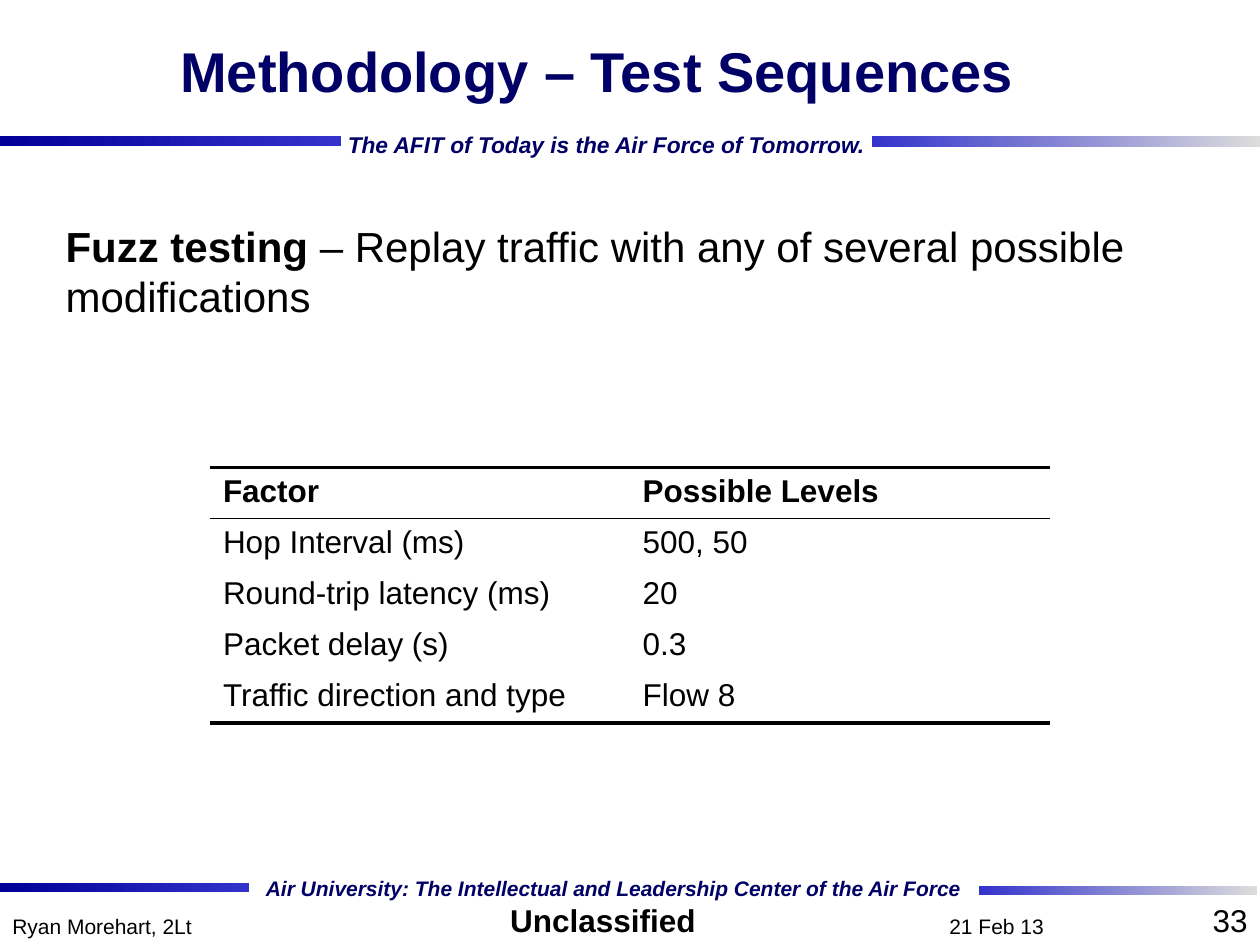
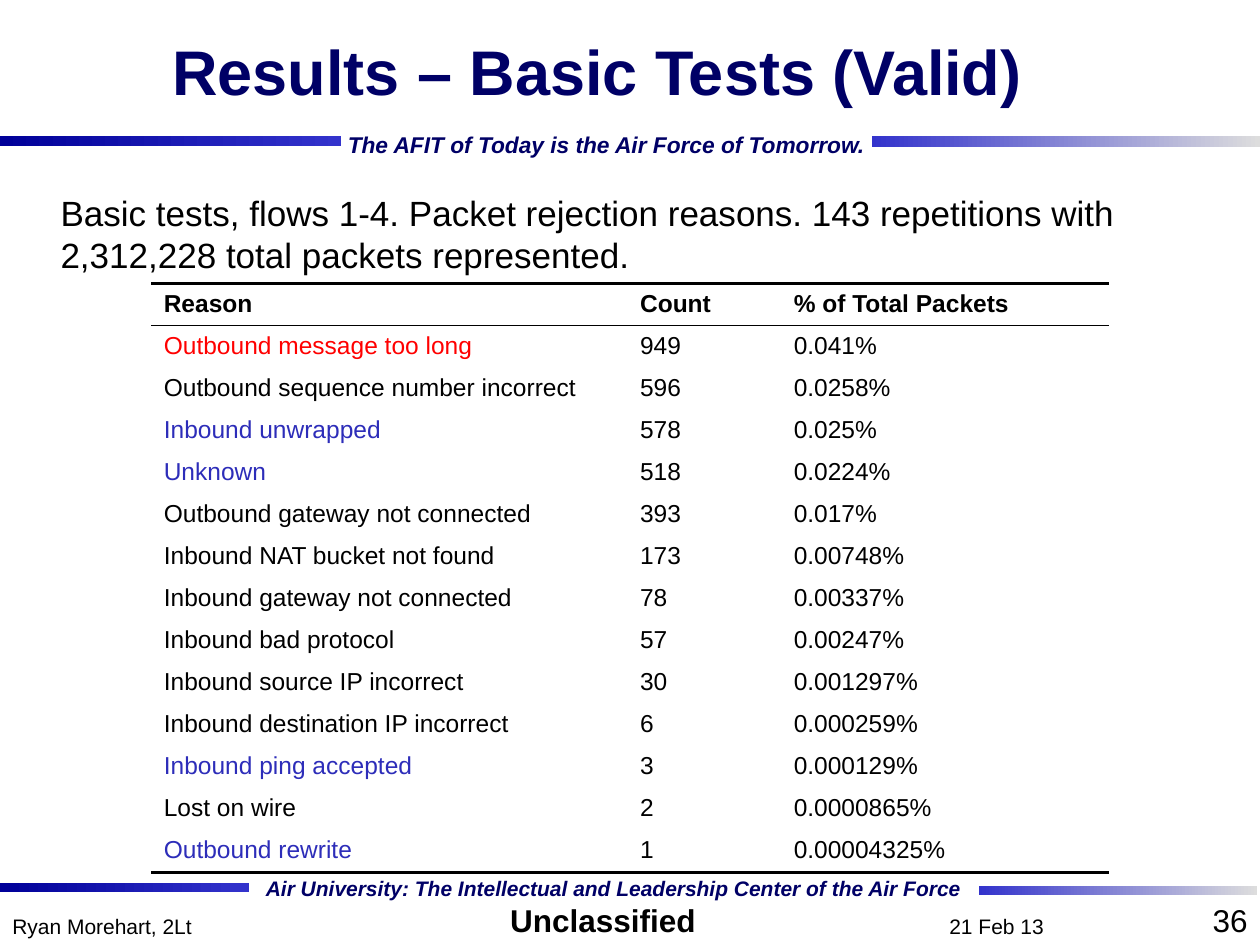
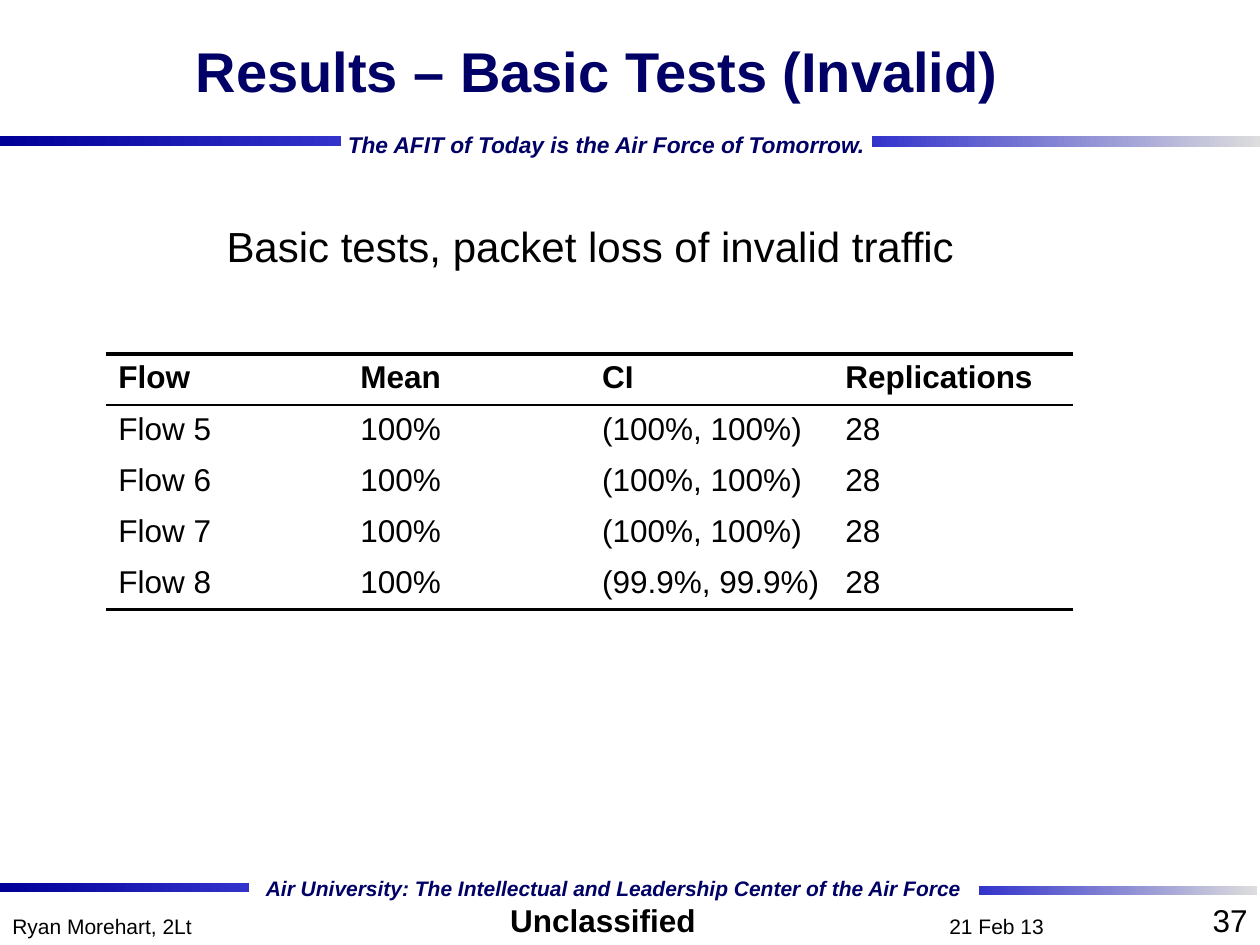
from dataclasses import dataclass

from lxml import etree
from pptx import Presentation
from pptx import util as u
from pptx.dml.color import RGBColor
from pptx.enum import shapes, text
from pptx.oxml import ns

FONT = "Arial"
BLACK, NAVY, RED, BLUE = "000000", "000066", "FF0000", "2D2DB9"
DEEP, ROYAL, SILVER = "000099", "3333CC", "DDDDDD"
LEFT, CENTER, RIGHT = text.PP_ALIGN.LEFT, text.PP_ALIGN.CENTER, text.PP_ALIGN.RIGHT
THICK, THIN = 2.25, 1


@dataclass(frozen=True)
class Frame:
    left: float
    top: float
    width: float
    height: float

    def lengths(self):
        return [u.Inches(n) for n in (self.left, self.top, self.width, self.height)]


@dataclass(frozen=True)
class Span:
    words: str
    size: float
    color: str = BLACK
    bold: bool = False
    italic: bool = False


@dataclass(frozen=True)
class Band:
    frame: Frame
    start: str
    end: str


@dataclass(frozen=True)
class Label:
    frame: Frame
    span: Span
    align: text.PP_ALIGN = LEFT
    wrap: bool = True
    inset: float = 0.1


@dataclass(frozen=True)
class Grid:
    frame: Frame
    columns: tuple[float, ...]
    size: float
    rows: tuple[tuple[str, ...], ...]


@dataclass(frozen=True)
class Content:
    number: int
    title: Span
    body_frame: Frame
    body: tuple[Span, ...]
    grid: Grid
    body_align: text.PP_ALIGN = LEFT


TITLE_FRAME = Frame(1.1, 0, 7.28, 1.12)
NUMBER_FRAME = Frame(7.67, 7.1, 2.33, 0.4)

BANDS = (
    Band(Frame(0, 7.01, 1.98, 0.07), DEEP, ROYAL),
    Band(Frame(7.77, 7.03, 2.21, 0.07), ROYAL, SILVER),
    Band(Frame(6.92, 1.08, 3.08, 0.09), ROYAL, SILVER),
    Band(Frame(0, 1.08, 2.71, 0.08), DEEP, ROYAL),
)

LABELS = (
    Label(Frame(2.02, 6.9, 5.76, 0.29),
          Span("Air University: The Intellectual and Leadership Center of the Air Force",
               12, NAVY, True, True), wrap=False, inset=0.09),
    Label(Frame(2.67, 0.99, 4.35, 0.31),
          Span("The AFIT of Today is the Air Force of Tomorrow.", 13, NAVY, True, True),
          wrap=False, inset=0.09),
    Label(Frame(3.95, 7.1, 1.69, 0.4), Span("Unclassified", 18, bold=True), wrap=False),
    Label(Frame(6.73, 7.2, 2.36, 0.3), Span("21 Feb 13", 12), CENTER),
    Label(Frame(0, 7.2, 2.36, 0.3), Span("Ryan Morehart, 2Lt", 12)),
)

REASON_COLORS = {
    "Outbound message too long": RED,
    "Inbound unwrapped": BLUE,
    "Unknown": BLUE,
    "Inbound ping accepted": BLUE,
    "Outbound rewrite": BLUE,
}

CONTENTS = (
    Content(
        33,
        Span("Methodology – Test Sequences", 32, NAVY, True),
        Frame(0.43, 1.7, 9.57, 4.5),
        (Span("Fuzz testing", 24, bold=True),
         Span(" – Replay traffic with any of several possible modifications", 24)),
        Grid(Frame(1.67, 3.71, 6.67, 2.03), (3.33, 3.33), 18, (
            ("Factor", "Possible Levels"),
            ("Hop Interval (ms)", "500, 50"),
            ("Round-trip latency (ms)", "20"),
            ("Packet delay (s)", "0.3"),
            ("Traffic direction and type", "Flow 8"),
        )),
    ),
    Content(
        36,
        Span("Results – Basic Tests (Valid)", 36, NAVY, True),
        Frame(0.39, 1.47, 9.3, 0.99),
        (Span("Basic tests, flows 1-4. Packet rejection reasons. 143 repetitions with "
              "2,312,228 total packets represented.", 20),),
        Grid(Frame(1.2, 2.25, 7.6, 3.92), (3.78, 1.22, 2.6), 14, (
            ("Reason", "Count", "% of Total Packets"),
            ("Outbound message too long", "949", "0.041%"),
            ("Outbound sequence number incorrect", "596", "0.0258%"),
            ("Inbound unwrapped", "578", "0.025%"),
            ("Unknown", "518", "0.0224%"),
            ("Outbound gateway not connected", "393", "0.017%"),
            ("Inbound NAT bucket not found", "173", "0.00748%"),
            ("Inbound gateway not connected", "78", "0.00337%"),
            ("Inbound bad protocol", "57", "0.00247%"),
            ("Inbound source IP incorrect", "30", "0.001297%"),
            ("Inbound destination IP incorrect", "6", "0.000259%"),
            ("Inbound ping accepted", "3", "0.000129%"),
            ("Lost on wire", "2", "0.0000865%"),
            ("Outbound rewrite", "1", "0.00004325%"),
        )),
    ),
    Content(
        37,
        Span("Results – Basic Tests (Invalid)", 32, NAVY, True),
        Frame(0.43, 1.7, 8.51, 0.48),
        (Span("Basic tests, packet loss of invalid traffic", 24),),
        Grid(Frame(0.84, 2.81, 7.68, 2.03), (1.92, 1.92, 1.93, 1.91), 18, (
            ("Flow", "Mean", "CI", "Replications"),
            ("Flow 5", "100%", "(100%, 100%)", "28"),
            ("Flow 6", "100%", "(100%, 100%)", "28"),
            ("Flow 7", "100%", "(100%, 100%)", "28"),
            ("Flow 8", "100%", "(99.9%, 99.9%)", "28"),
        )),
        CENTER,
    ),
)


def rgb(color: str) -> RGBColor:
    return RGBColor.from_string(color)


def add_span(para, span: Span) -> None:
    run = para.add_run()
    run.text = span.words
    font = run.font
    font.name, font.size = FONT, u.Pt(span.size)
    font.bold, font.italic = span.bold, span.italic
    font.color.rgb = rgb(span.color)


def set_insets(frame, inset: float) -> None:
    frame.margin_left = frame.margin_right = u.Inches(inset)
    frame.margin_top = frame.margin_bottom = u.Inches(0.05)


def draw_band(page, band: Band) -> None:
    bar = page.shapes.add_shape(shapes.MSO_SHAPE.RECTANGLE, *band.frame.lengths())
    bar.shadow.inherit = False
    bar.line.fill.background()
    bar.fill.gradient()
    bar.fill.gradient_angle = 0
    for stop, color in zip(bar.fill.gradient_stops, (band.start, band.end)):
        stop.color.rgb = rgb(color)


def draw_label(page, label: Label) -> None:
    frame = page.shapes.add_textbox(*label.frame.lengths()).text_frame
    frame.word_wrap = label.wrap
    set_insets(frame, label.inset)
    para = frame.paragraphs[0]
    para.alignment = label.align
    add_span(para, label.span)


def fill_placeholder(box, place: Frame, spans, align, anchor, inset: float) -> None:
    box.left, box.top, box.width, box.height = place.lengths()
    frame = box.text_frame
    frame.auto_size = text.MSO_AUTO_SIZE.NONE
    frame.word_wrap = True
    frame.vertical_anchor = anchor
    set_insets(frame, inset)
    para = frame.paragraphs[0]
    para.alignment = align
    for span in spans:
        add_span(para, span)


def remove_bullet(para) -> None:
    properties = para._p.get_or_add_pPr()
    properties.set("marL", "0")
    properties.set("indent", "0")
    etree.SubElement(properties, ns.qn("a:buNone"))


def set_borders(cell, top: float, bottom: float) -> None:
    properties = cell._tc.get_or_add_tcPr()
    for edge, width in (("L", 0), ("R", 0), ("T", top), ("B", bottom)):
        line = etree.SubElement(properties, ns.qn(f"a:ln{edge}"), w=str(u.Pt(width)))
        if width:
            fill = etree.SubElement(line, ns.qn("a:solidFill"))
            etree.SubElement(fill, ns.qn("a:srgbClr"), val=BLACK)
        else:
            etree.SubElement(line, ns.qn("a:noFill"))


def draw_grid(page, grid: Grid) -> None:
    last = len(grid.rows) - 1
    table = page.shapes.add_table(
        len(grid.rows), len(grid.columns), *grid.frame.lengths()).table
    table.first_row = table.horz_banding = False
    for column, width in zip(table.columns, grid.columns):
        column.width = u.Inches(width)
    for r, row in enumerate(grid.rows):
        top = {0: THICK, 1: THIN}.get(r, 0)
        bottom = {0: THIN, last: THICK}.get(r, 0)
        for c, words in enumerate(row):
            cell = table.cell(r, c)
            set_borders(cell, top, bottom)
            cell.fill.background()
            color = REASON_COLORS.get(words, BLACK)
            add_span(cell.text_frame.paragraphs[0],
                     Span(words, grid.size, color, bold=r == 0))


def build_page(deck, content: Content) -> None:
    page = deck.slides.add_slide(deck.slide_layouts[1])
    for band in BANDS:
        draw_band(page, band)
    for label in LABELS:
        draw_label(page, label)
    fill_placeholder(page.shapes.title, TITLE_FRAME, (content.title,), CENTER,
                     text.MSO_ANCHOR.MIDDLE, 0.1)
    body = page.placeholders[1]
    fill_placeholder(body, content.body_frame, content.body, content.body_align,
                     text.MSO_ANCHOR.TOP, 0.09)
    para = body.text_frame.paragraphs[0]
    para.space_before = u.Pt(content.body[0].size * 0.2)
    remove_bullet(para)
    draw_label(page, Label(NUMBER_FRAME, Span(str(content.number), 18), RIGHT))
    draw_grid(page, content.grid)


def main() -> None:
    deck = Presentation()
    deck.slide_width, deck.slide_height = u.Inches(10), u.Inches(7.5)
    for content in CONTENTS:
        build_page(deck, content)
    deck.save("out.pptx")


if __name__ == "__main__":
    main()
